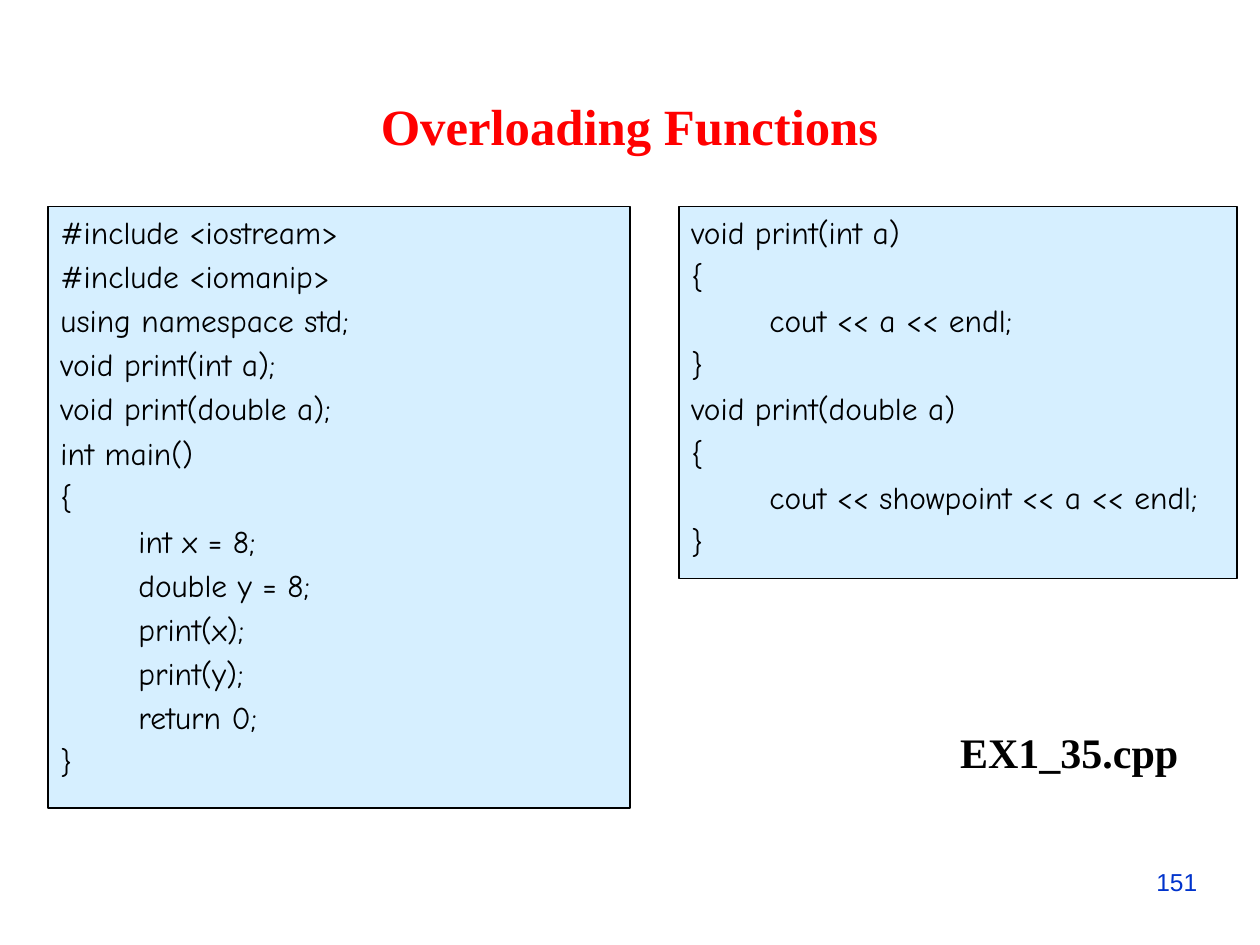
from dataclasses import dataclass

from lxml.etree import SubElement
from pptx import Presentation
from pptx.dml.color import RGBColor
from pptx.enum.shapes import MSO_SHAPE
from pptx.enum.text import MSO_ANCHOR, PP_ALIGN
from pptx.oxml.ns import qn
from pptx.util import Cm, Pt


@dataclass(frozen=True)
class Theme:
    heading_font: str = "Times New Roman"
    code_font: str = "Comic Neue"
    number_font: str = "Arial"
    title_size: float = 29
    code_size: float = 18
    file_size: float = 24
    number_size: float = 14
    title_color: str = "FF0000"
    ink: str = "000000"
    panel: str = "CCECFF"
    number_color: str = "0033CC"
    panel_alpha: int = 80
    line_width: float = 0.75
    tab: float = 1.57


THEME = Theme()

MAIN_PROGRAM = """#include <iostream>
#include <iomanip>
using namespace std;
void print(int a);
void print(double a);
int main() 
{
\tint x = 8;
\tdouble y = 8;
\tprint(x);
\tprint(y);
\treturn 0;
}"""

PRINT_FUNCTIONS = """void print(int a) 
{
\tcout << a << endl;
}
void print(double a) 
{
\tcout << showpoint << a << endl;
}"""


def place(part, box):
    part.left, part.top, part.width, part.height = (Cm(length) for length in box)


def write(frame, text, font, size, color, bold=False, align=PP_ALIGN.LEFT):
    frame.text = text
    for paragraph in frame.paragraphs:
        paragraph.alignment = align
        for run in paragraph.runs:
            run.font.name = font
            run.font.size = Pt(size)
            run.font.bold = bold
            run.font.color.rgb = RGBColor.from_string(color)


def add_title(slide, box, text):
    title = slide.shapes.title
    place(title, box)
    title.text_frame.vertical_anchor = MSO_ANCHOR.MIDDLE
    write(title.text_frame, text, THEME.heading_font, THEME.title_size,
          THEME.title_color, True, PP_ALIGN.CENTER)


def space_code_line(paragraph):
    properties = paragraph._p.get_or_add_pPr()
    before = SubElement(properties, qn("a:spcBef"))
    SubElement(before, qn("a:spcPct"), val="20000")
    tabs = SubElement(properties, qn("a:tabLst"))
    SubElement(tabs, qn("a:tab"), pos=str(Cm(THEME.tab)), algn="l")


def add_code_panel(slide, box, code):
    panel = slide.shapes.add_shape(MSO_SHAPE.RECTANGLE, *(Cm(length) for length in box))
    panel.shadow.inherit = False
    panel.fill.solid()
    panel.fill.fore_color.rgb = RGBColor.from_string(THEME.panel)
    tint = panel.fill._xPr.find(qn("a:solidFill"))[0]
    SubElement(tint, qn("a:alpha"), val=str(THEME.panel_alpha * 1000))
    panel.line.color.rgb = RGBColor.from_string(THEME.ink)
    panel.line.width = Pt(THEME.line_width)
    frame = panel.text_frame
    frame.word_wrap = True
    frame.vertical_anchor = MSO_ANCHOR.TOP
    write(frame, code, THEME.code_font, THEME.code_size, THEME.ink)
    for paragraph in frame.paragraphs:
        space_code_line(paragraph)


def add_label(slide, box, text, wrap, *style):
    label = slide.shapes.add_textbox(*(Cm(length) for length in box))
    label.text_frame.word_wrap = wrap
    write(label.text_frame, text, *style)


def build_code_slide(deck):
    slide = deck.slides.add_slide(deck.slide_layouts[5])
    add_title(slide, (0.84, 1.78, 23.72, 1.5), "Overloading Functions")
    add_code_panel(slide, (0.97, 4.17, 11.73, 12.12), MAIN_PROGRAM)
    add_code_panel(slide, (13.69, 4.17, 11.25, 7.49), PRINT_FUNCTIONS)
    add_label(slide, (23.06, 17.35, 1.37, 0.86), "151", True,
              THEME.number_font, THEME.number_size, THEME.number_color)
    add_label(slide, (19.08, 14.53, 4.95, 1.27), "EX1_35.cpp", False,
              THEME.heading_font, THEME.file_size, THEME.ink, True, PP_ALIGN.CENTER)


deck = Presentation()
deck.slide_width, deck.slide_height = Cm(25.4), Cm(19.05)
build_code_slide(deck)
deck.save("out.pptx")
